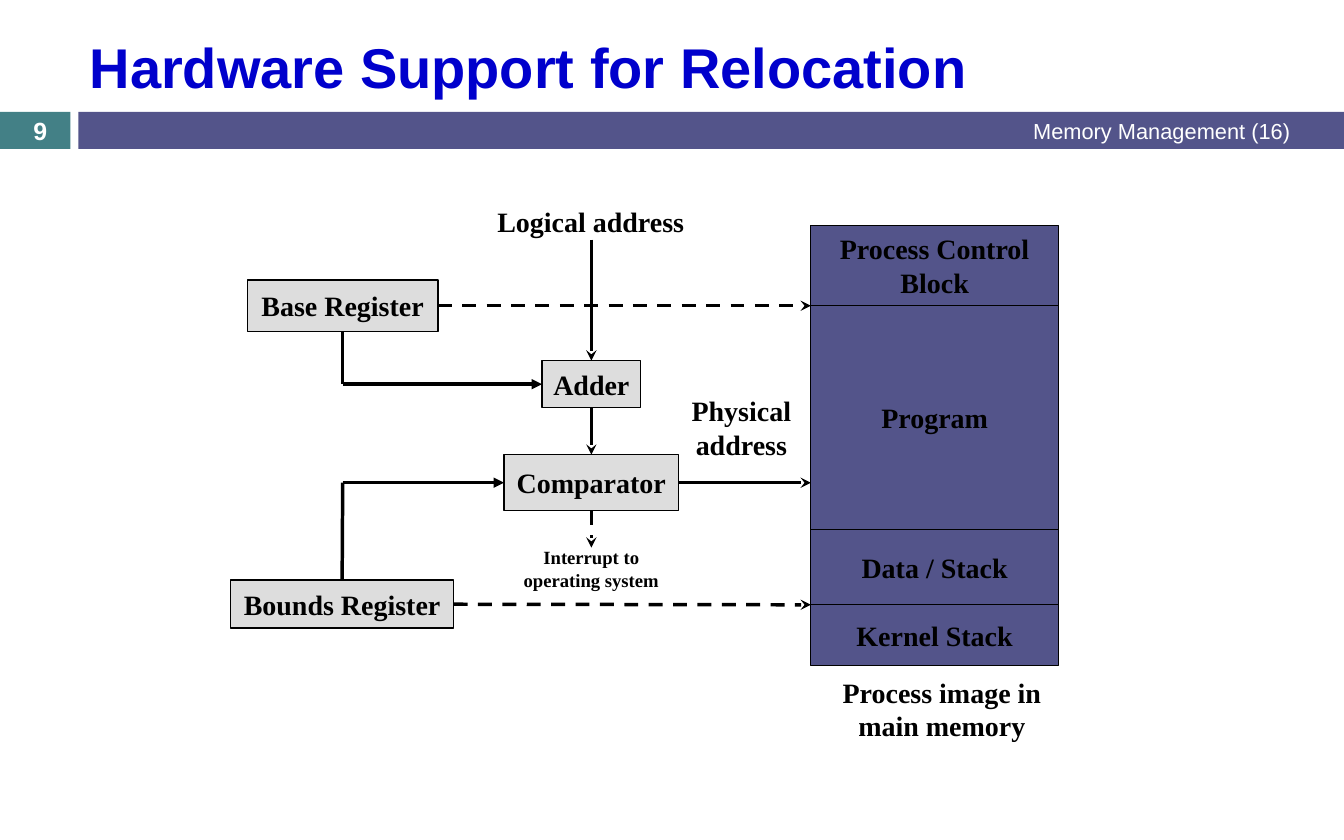
import pptx
import pptx.dml.color
import pptx.enum.dml
import pptx.enum.shapes
import pptx.enum.text
import pptx.oxml
import pptx.oxml.ns
import pptx.util

Inches = pptx.util.Inches
Pt = pptx.util.Pt
ALIGN = pptx.enum.text.PP_ALIGN
ANCHOR = pptx.enum.text.MSO_ANCHOR
RECTANGLE = pptx.enum.shapes.MSO_SHAPE.RECTANGLE
TOP, LEFT, BOTTOM, RIGHT = range(4)

COLORS = {
    "title": "0000CC",
    "teal": "438086",
    "indigo": "53548A",
    "gray": "DDDDDD",
    "ink": "000000",
    "white": "FFFFFF",
}
DIAGRAM_FONT = "Times New Roman"
MEMORY_LEFT, MEMORY_TOP, MEMORY_WIDTH = 7.24, 2.01, 2.21
MEMORY_SEGMENTS = [
    ("Process Control\nBlock", 0.72),
    ("Program", 2.0),
    ("Data / Stack", 0.67),
    ("Kernel Stack", 0.54),
]


def rgb(name):
    return pptx.dml.color.RGBColor.from_string(COLORS[name])


def write(shape, text, size=18, font=DIAGRAM_FONT, color="ink", bold=True,
          align=ALIGN.CENTER, anchor=ANCHOR.MIDDLE):
    frame = shape.text_frame
    frame.text = text
    frame.vertical_anchor = anchor
    for paragraph in frame.paragraphs:
        paragraph.alignment = align
        for run in paragraph.runs:
            run.font.size = Pt(size)
            run.font.name = font
            run.font.bold = bold
            run.font.color.rgb = rgb(color)


def add_label(slide, text, left, top, width, height, wrap=False, **style):
    label = slide.shapes.add_textbox(
        Inches(left), Inches(top), Inches(width), Inches(height))
    write(label, text, **style)
    label.text_frame.word_wrap = wrap


def add_box(slide, left, top, width, height, fill, line_width=None, text=None):
    box = slide.shapes.add_shape(
        RECTANGLE, Inches(left), Inches(top), Inches(width), Inches(height))
    box.shadow.inherit = False
    box.fill.solid()
    box.fill.fore_color.rgb = rgb(fill)
    if line_width:
        box.line.color.rgb = rgb("ink")
        box.line.width = Pt(line_width)
    else:
        box.line.fill.background()
    if text:
        write(box, text)
        box.text_frame.word_wrap = False
    return box


def add_line(slide, start, end, head=None, dashed=False, source=None, target=None):
    """Draw a straight line; source and target are (shape, side) to join."""
    line = slide.shapes.add_connector(
        pptx.enum.shapes.MSO_CONNECTOR.STRAIGHT,
        Inches(start[0]), Inches(start[1]), Inches(end[0]), Inches(end[1]))
    line.line.color.rgb = rgb("ink")
    line.line.width = Pt(2.25)
    if dashed:
        line.line.dash_style = pptx.enum.dml.MSO_LINE.DASH
    properties = line._element.spPr
    if head:
        arrow = pptx.oxml.parse_xml(
            f'<a:tailEnd {pptx.oxml.ns.nsdecls("a")} type="{head}"/>')
        properties.find(pptx.oxml.ns.qn("a:ln")).append(arrow)
    properties.append(pptx.oxml.parse_xml(
        f'<a:effectLst {pptx.oxml.ns.nsdecls("a")}/>'))
    if source:
        line.begin_connect(*source)
    if target:
        line.end_connect(*target)


def add_header(slide):
    add_box(slide, 0, 1, 0.63, 0.33, "teal")
    add_box(slide, 0.7, 1, 11.3, 0.33, "indigo")
    title = slide.shapes.title
    title.left, title.top = Inches(0.7), Inches(0.19)
    title.width, title.height = Inches(10.91), Inches(0.8)
    write(title, "Hardware Support for Relocation", size=36, font="Arial",
          color="title", align=ALIGN.LEFT)
    add_label(slide, "Memory Management (16)", 6.17, 1, 5.45, 0.33, wrap=True,
              size=14, font="Arial", color="white", bold=False, align=ALIGN.RIGHT)
    add_label(slide, "9", 0, 1.02, 0.72, 0.3, wrap=True,
              size=16, font="Arial", color="white")


def add_memory(slide):
    top = MEMORY_TOP
    for text, height in MEMORY_SEGMENTS:
        add_box(slide, MEMORY_LEFT, top, MEMORY_WIDTH, height, "indigo", 0.75, text)
        top += height
    add_label(slide, "Process image in\nmain memory", 7.42, 5.98, 1.98, 0.7)


def add_translation(slide):
    """Registers, adder and comparator with the paths between them."""
    base = add_box(slide, 2.21, 2.5, 1.7, 0.46, "gray", 1, "Base Register")
    bounds = add_box(slide, 2.06, 5.18, 1.99, 0.43, "gray", 1, "Bounds Register")
    adder = add_box(slide, 4.84, 3.22, 0.88, 0.42, "gray", 1, "Adder")
    comparator = add_box(slide, 4.5, 4.06, 1.56, 0.5, "gray", 1, "Comparator")

    add_label(slide, "Logical address", 4.33, 1.78, 1.89, 0.4)
    add_label(slide, "Physical\naddress", 6.07, 3.46, 1.1, 0.71)
    add_label(slide, "Interrupt to\noperating system", 4.57, 4.82, 1.42, 0.51, size=12)

    add_line(slide, (3.06, 2.96), (3.06, 3.43), source=(base, BOTTOM))
    add_line(slide, (3.06, 3.43), (4.84, 3.43), "triangle", target=(adder, LEFT))
    add_line(slide, (3.06, 5.18), (3.06, 4.31), source=(bounds, TOP))
    add_line(slide, (3.06, 4.31), (4.5, 4.31), "triangle", target=(comparator, LEFT))
    add_line(slide, (5.28, 2.14), (5.28, 3.22), "stealth", target=(adder, TOP))
    add_line(slide, (5.28, 3.64), (5.28, 4.06), "stealth",
             source=(adder, BOTTOM), target=(comparator, TOP))
    add_line(slide, (5.28, 4.56), (5.28, 4.89), "stealth", dashed=True,
             source=(comparator, BOTTOM))
    add_line(slide, (6.06, 4.31), (MEMORY_LEFT, 4.31), "stealth",
             source=(comparator, RIGHT))
    for register, y in ((base, 2.73), (bounds, 5.4)):
        add_line(slide, (4, y), (MEMORY_LEFT, y), "stealth", dashed=True,
                 source=(register, RIGHT))


def main():
    presentation = pptx.Presentation()
    presentation.slide_width = Inches(12)
    presentation.slide_height = Inches(7.5)
    slide = presentation.slides.add_slide(presentation.slide_layouts[5])
    add_header(slide)
    add_memory(slide)
    add_translation(slide)
    presentation.save("out.pptx")


if __name__ == "__main__":
    main()
